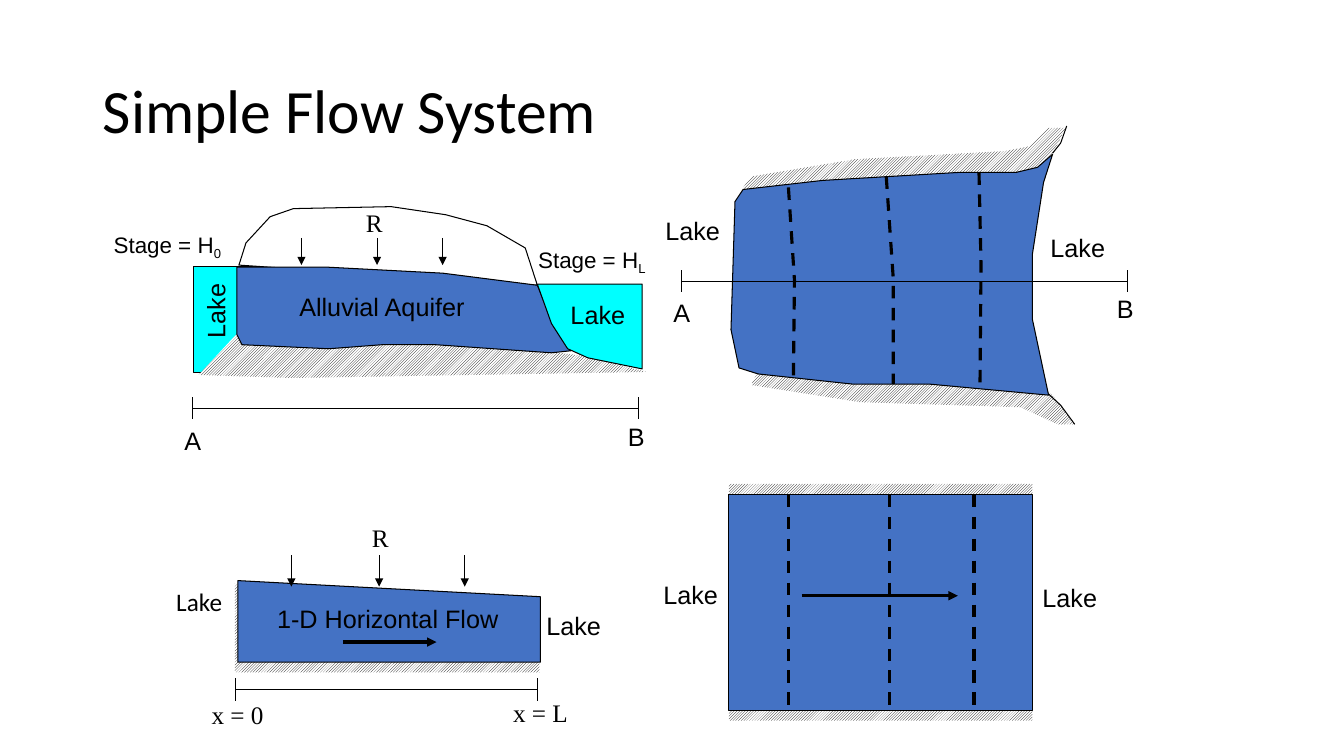
"""Build the slide that simplifies an aquifer between two lakes to a flow system."""
from dataclasses import dataclass
from typing import Optional, Union

import pptx
import pptx.dml.color
import pptx.enum.dml
import pptx.enum.shapes
import pptx.enum.text
import pptx.oxml.ns
import pptx.shapes.base
import pptx.slide
import pptx.util
from lxml import etree

PX = 9144
BLACK = pptx.dml.color.RGBColor(0x00, 0x00, 0x00)
WHITE = pptx.dml.color.RGBColor(0xFF, 0xFF, 0xFF)
AQUIFER = pptx.dml.color.RGBColor(0x44, 0x72, 0xC4)
WATER = pptx.dml.color.RGBColor(0x00, 0xFF, 0xFF)
THIN, THICK = 0.75, 2.25
TICK = 11
LABEL_HEIGHT = 40
SANS, SERIF, TITLE_FONT = "Arial", "Times New Roman", "Calibri"


@dataclass(frozen=True)
class Block:
    left: int
    top: int
    width: int
    height: int
    color: Optional[pptx.dml.color.RGBColor] = None
    hatched: bool = False
    dashed: bool = False


@dataclass(frozen=True)
class Outline:
    points: tuple[tuple[int, int], ...]
    color: Optional[pptx.dml.color.RGBColor] = None
    hatched: bool = False
    closed: bool = True
    dashed: bool = False


@dataclass(frozen=True)
class Line:
    start: tuple[int, int]
    end: tuple[int, int]
    weight: float = THIN
    dashed: bool = False
    arrow: bool = False


@dataclass(frozen=True)
class Gauge:
    left: int
    right: int
    middle: int


@dataclass(frozen=True)
class Recharge:
    top: int
    length: int
    columns: tuple[int, ...]


@dataclass(frozen=True)
class Label:
    text: str
    left: int
    top: int
    width: int = 75
    size: int = 18
    font: str = SANS
    subscript: str = ""
    rotation: int = 0
    wrap: bool = False


SURFACES: tuple[Union[Block, Outline], ...] = (
    Block(192, 264, 116, 106, WATER),
    Outline(((236, 330), (197, 372), (290, 375), (642, 369), (578, 353), (400, 330)),
            hatched=True),
    Outline(((237, 263), (244, 241), (268, 215), (291, 207), (388, 205), (442, 213),
             (483, 224), (521, 246), (533, 283)), WHITE),
    Outline(((235, 265), (235, 332), (240, 342), (326, 346), (379, 342), (432, 342),
             (547, 350), (566, 348), (550, 325), (533, 283), (439, 271), (324, 265)), AQUIFER),
    Outline(((533, 282), (637, 282), (637, 366), (583, 355), (563, 346), (547, 321)), WATER),
    Outline(((1057, 127), (1044, 153), (900, 270), (1043, 391), (1066, 421), (1049, 421),
             (1012, 404), (853, 399), (745, 382), (800, 270), (737, 186), (746, 175),
             (848, 158), (996, 150), (1022, 145), (1039, 127)), hatched=True),
    Outline(((1044, 153), (1029, 166), (1008, 171), (952, 171), (816, 179), (737, 188),
             (729, 200), (725, 327), (733, 365), (752, 371), (845, 381), (921, 381),
             (1040, 392), (1024, 317), (1024, 252), (1035, 181)), AQUIFER),
    Outline(((1044, 152), (1052, 142), (1058, 125)), closed=False),
    Outline(((1040, 391), (1052, 402), (1066, 421)), closed=False),
    Outline(((782, 186), (788, 278), (787, 373)), closed=False, dashed=True),
    Outline(((879, 175), (886, 277), (886, 381)), closed=False, dashed=True),
    Outline(((971, 171), (973, 263), (972, 383)), closed=False, dashed=True),
    Block(723, 480, 301, 235, hatched=True),
    Block(723, 491, 301, 214, AQUIFER),
    Outline(((233, 579), (233, 667), (535, 667), (535, 600)), hatched=True),
    Outline(((236, 576), (236, 657), (536, 657), (536, 592)), AQUIFER),
)
RECHARGES = (Recharge(236, 27, (299, 374, 439)), Recharge(551, 31, (289, 376, 461)))
EQUIPOTENTIALS = (782, 882, 966)
GAUGES = (Gauge(191, 633, 405), Gauge(676, 1118, 279), Gauge(234, 533, 684))
LINES = (
    *(Line((x, recharge.top), (x, recharge.top + recharge.length), arrow=True)
      for recharge in RECHARGES for x in recharge.columns),
    *(Line((x, 491), (x, 703), THICK, dashed=True) for x in EQUIPOTENTIALS),
    Line((795, 591), (950, 591), THICK, arrow=True),
    Line((340, 637), (433, 637), THICK, arrow=True),
    *(Line((gauge.left, gauge.middle), (gauge.right, gauge.middle)) for gauge in GAUGES),
    *(Line((x, gauge.middle - TICK), (x, gauge.middle + TICK))
      for gauge in GAUGES for x in (gauge.left, gauge.right)),
)
LABELS = (
    *(Label("R", left, top, 37, font=SERIF) for left, top in ((353, 201), (359, 513))),
    *(Label(text, left, top, 37) for text, left, top in
      (("A", 173, 417), ("B", 613, 413), ("A", 658, 290), ("B", 1098, 286))),
    *(Label("Stage = H", left, top, 133, 16, subscript=subscript) for subscript, left, top in
      (("L", 524, 239), ("0", 103, 224))),
    *(Label("Lake", left, top) for left, top in
      ((556, 292), (1032, 226), (1024, 573), (532, 601), (650, 209), (648, 570))),
    Label("Lake", 176, 288, rotation=270),
    Label("Lake", 165, 577, 667, font=TITLE_FONT, wrap=True),
    Label("Alluvial Aquifer", 287, 284, 186),
    Label("1-D Horizontal Flow", 265, 594, 242),
    Label("x = 0", 200, 689, font=SERIF),
    Label("x = L", 499, 687, font=SERIF),
)


def style_line(shape: pptx.shapes.base.BaseShape, weight: float, dashed: bool) -> None:
    """Give a shape or connector a black line."""
    shape.line.color.rgb = BLACK
    shape.line.width = pptx.util.Pt(weight)
    if dashed:
        shape.line.dash_style = pptx.enum.dml.MSO_LINE.DASH


def draw_surface(slide: pptx.slide.Slide, surface: Union[Block, Outline]) -> None:
    """Draw a rectangle, a filled outline or an open contour."""
    if isinstance(surface, Block):
        shape = slide.shapes.add_shape(
            pptx.enum.shapes.MSO_SHAPE.RECTANGLE, surface.left * PX, surface.top * PX,
            surface.width * PX, surface.height * PX)
    else:
        builder = slide.shapes.build_freeform(*surface.points[0], scale=PX)
        builder.add_line_segments(surface.points[1:], close=surface.closed)
        shape = builder.convert_to_shape()
    shape.shadow.inherit = False
    if surface.hatched:
        shape.fill.patterned()
        shape.fill.pattern = pptx.enum.dml.MSO_PATTERN.LIGHT_UPWARD_DIAGONAL
        shape.fill.fore_color.rgb = BLACK
        shape.fill.back_color.rgb = WHITE
        shape.line.fill.background()
        return
    if surface.color is None:
        shape.fill.background()
    else:
        shape.fill.solid()
        shape.fill.fore_color.rgb = surface.color
    style_line(shape, THICK if surface.dashed else THIN, surface.dashed)


def draw_line(slide: pptx.slide.Slide, line: Line) -> None:
    """Draw a straight line, with an arrowhead if wanted."""
    connector = slide.shapes.add_connector(
        pptx.enum.shapes.MSO_CONNECTOR.STRAIGHT,
        *(value * PX for value in (*line.start, *line.end)))
    style_line(connector, line.weight, line.dashed)
    properties = connector._element.spPr
    if line.arrow:
        outline = properties.find(pptx.oxml.ns.qn("a:ln"))
        etree.SubElement(outline, pptx.oxml.ns.qn("a:tailEnd"), type="triangle")
    etree.SubElement(properties, pptx.oxml.ns.qn("a:effectLst"))


def draw_label(slide: pptx.slide.Slide, label: Label) -> None:
    """Write a label, with a subscript if it has one."""
    box = slide.shapes.add_textbox(
        label.left * PX, label.top * PX, label.width * PX, LABEL_HEIGHT * PX)
    box.rotation = label.rotation
    box.text_frame.word_wrap = label.wrap
    box.text_frame.auto_size = pptx.enum.text.MSO_AUTO_SIZE.SHAPE_TO_FIT_TEXT
    paragraph = box.text_frame.paragraphs[0]
    paragraph.add_run().text = label.text
    if label.subscript:
        run = paragraph.add_run()
        run.text = label.subscript
        run._r.get_or_add_rPr().set("baseline", "-25000")
    style_text(paragraph, label.font, label.size)


def style_text(paragraph: pptx.text.text._Paragraph, font: str, size: int) -> None:
    """Set the black font of a paragraph."""
    paragraph.font.name = font
    paragraph.font.size = pptx.util.Pt(size)
    paragraph.font.color.rgb = BLACK


def write_title(slide: pptx.slide.Slide) -> None:
    """Place and format the title."""
    title = slide.shapes.title
    title.left, title.top, title.width, title.height = (
        value * PX for value in (92, 40, 1150, 145))
    title.text_frame.text = "Simple Flow System"
    title.text_frame.vertical_anchor = pptx.enum.text.MSO_ANCHOR.MIDDLE
    paragraph = title.text_frame.paragraphs[0]
    paragraph.alignment = pptx.enum.text.PP_ALIGN.LEFT
    paragraph.line_spacing = 0.9
    style_text(paragraph, TITLE_FONT, 44)


def main() -> None:
    """Build and save the presentation."""
    presentation = pptx.Presentation()
    presentation.slide_width, presentation.slide_height = 1333 * PX, 750 * PX
    slide = presentation.slides.add_slide(presentation.slide_layouts[5])
    write_title(slide)
    for surface in SURFACES:
        draw_surface(slide, surface)
    for line in LINES:
        draw_line(slide, line)
    for label in LABELS:
        draw_label(slide, label)
    presentation.save("out.pptx")


if __name__ == "__main__":
    main()
